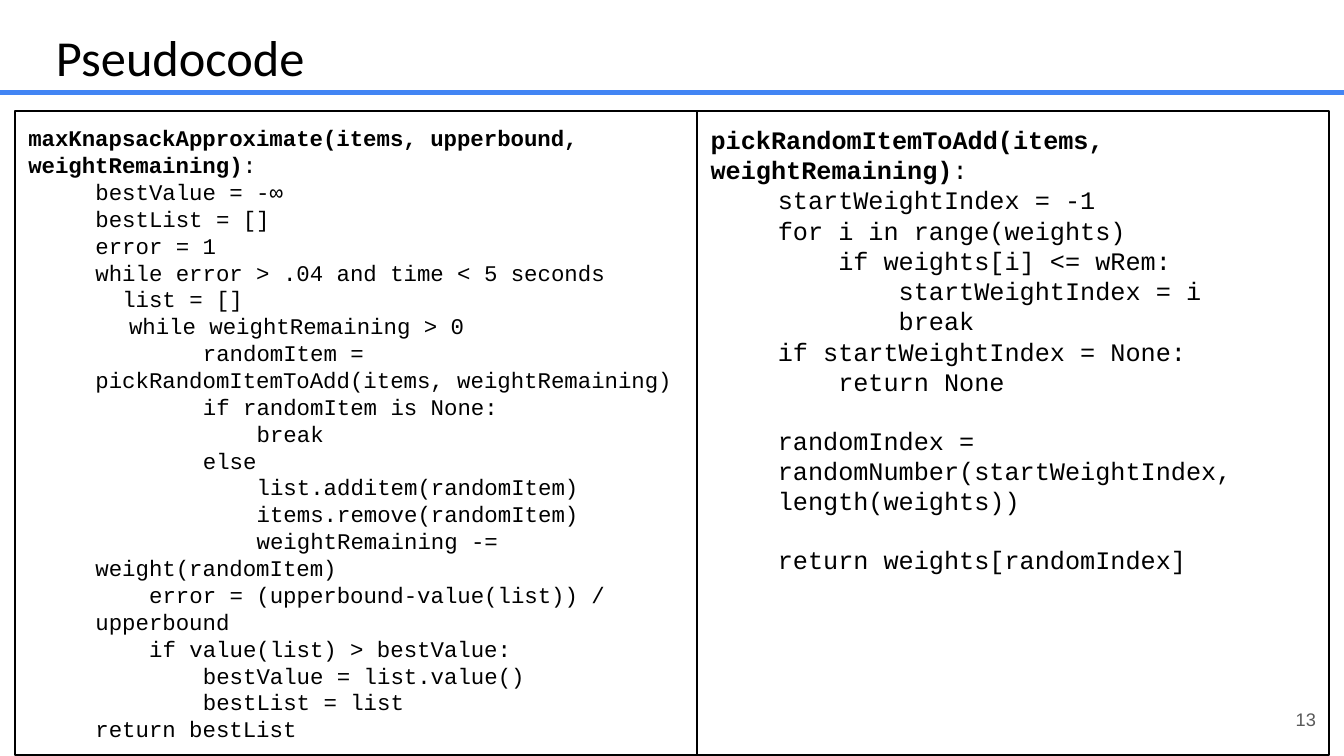
from lxml import etree
from pptx import Presentation
from pptx.dml.color import RGBColor
from pptx.enum import shapes, text
from pptx.util import Pt


def color(hex_string):
    return RGBColor.from_string(hex_string)


def add_run(paragraph, words, **font_values):
    run = paragraph.add_run()
    run.text = words
    run.font.color.rgb = color(font_values.pop("fill", "000000"))
    for name, value in font_values.items():
        setattr(run.font, name, value)


presentation = Presentation()
presentation.slide_width = Pt(960)
presentation.slide_height = Pt(540)
slide = presentation.slides.add_slide(presentation.slide_layouts[6])

# Title and slide number: box, anchor, left inset, alignment, words, font
labels = [
    ((0, -1.5, 960, 67.5), text.MSO_ANCHOR.BOTTOM, 40, text.PP_ALIGN.LEFT,
     "Pseudocode", {"name": "Calibri", "size": Pt(36)}),
    ((898, 500.5, 49, 29), text.MSO_ANCHOR.MIDDLE, 7.2, text.PP_ALIGN.RIGHT,
     "13", {"name": "Arial", "size": Pt(13), "fill": "595959"}),
]
for box, anchor, inset, alignment, words, font_values in labels:
    frame = slide.shapes.add_textbox(*map(Pt, box)).text_frame
    frame.word_wrap = True
    frame.vertical_anchor = anchor
    frame.margin_left = Pt(inset)
    paragraph = frame.paragraphs[0]
    paragraph.alignment = alignment
    paragraph.line_spacing = 0.9
    add_run(paragraph, words, **font_values)

# Rule under the title
rule = slide.shapes.add_connector(
    shapes.MSO_CONNECTOR.STRAIGHT, Pt(0), Pt(66.2), Pt(960), Pt(66.2))
rule.line.color.rgb = color("4285F4")
rule.line.width = Pt(3.75)
namespace = "http://schemas.openxmlformats.org/drawingml/2006/main"
etree.SubElement(rule._element.spPr, f"{{{namespace}}}effectLst")

# Code lines: indent in characters, words, blank lines before
approximate_lines = [
    (0, "bestValue = -∞", 0),
    (0, "bestList = []", 0),
    (0, "error = 1", 0),
    (0, "while error > .04 and time < 5 seconds", 0),
    (2, "list = []", 0),
    (2.5, "while weightRemaining > 0", 0),
    (8, "randomItem = pickRandomItemToAdd(items, weightRemaining)", 0),
    (8, "if randomItem is None:", 0),
    (12, "break", 0),
    (8, "else", 0),
    (12, "list.additem(randomItem)", 0),
    (12, "items.remove(randomItem)", 0),
    (12, "weightRemaining -= weight(randomItem)", 0),
    (4, "error = (upperbound-value(list)) / upperbound", 0),
    (4, "if value(list) > bestValue:", 0),
    (8, "bestValue = list.value()", 0),
    (8, "bestList = list", 0),
    (0, "return bestList", 0),
]
pick_lines = [
    (0, "startWeightIndex = -1", 0),
    (0, "for i in range(weights)", 0),
    (4, "if weights[i] <= wRem:", 0),
    (8, "startWeightIndex = i", 0),
    (8, "break", 0),
    (0, "if startWeightIndex = None:", 0),
    (4, "return None", 0),
    (0, "randomIndex = randomNumber(startWeightIndex, length(weights))", 1),
    (0, "return weights[randomIndex]", 1),
]
panels = [
    (10.6, 487.4, 16, "maxKnapsackApproximate(items, upperbound, weightRemaining)",
     approximate_lines),
    (498, 451.4, 18, "pickRandomItemToAdd(items, weightRemaining)", pick_lines),
]

# Code panels
for left, width, size, signature, code_lines in panels:
    panel = slide.shapes.add_shape(
        shapes.MSO_SHAPE.RECTANGLE, Pt(left), Pt(79.2), Pt(width), Pt(460))
    panel.shadow.inherit = False
    panel.fill.background()
    panel.line.color.rgb = color("000000")
    panel.line.width = Pt(1.5)
    frame = panel.text_frame
    frame.word_wrap = True
    frame.vertical_anchor = text.MSO_ANCHOR.TOP
    for side in ("left", "top", "right", "bottom"):
        setattr(frame, f"margin_{side}", Pt(9.6))

    code_font = {"name": "Courier New", "size": Pt(size)}
    paragraph = frame.paragraphs[0]
    paragraph.alignment = text.PP_ALIGN.LEFT
    add_run(paragraph, signature, bold=True, **code_font)
    add_run(paragraph, ":", **code_font)
    for indent, words, blank_lines in code_lines:
        paragraph = frame.add_paragraph()
        paragraph.alignment = text.PP_ALIGN.LEFT
        paragraph.space_before = Pt(blank_lines * size * 1.13)
        properties = paragraph._p.get_or_add_pPr()
        properties.set("marL", str(Pt(48)))
        properties.set("indent", str(Pt(indent * size * 0.6)))
        add_run(paragraph, words, **code_font)

presentation.save("out.pptx")
